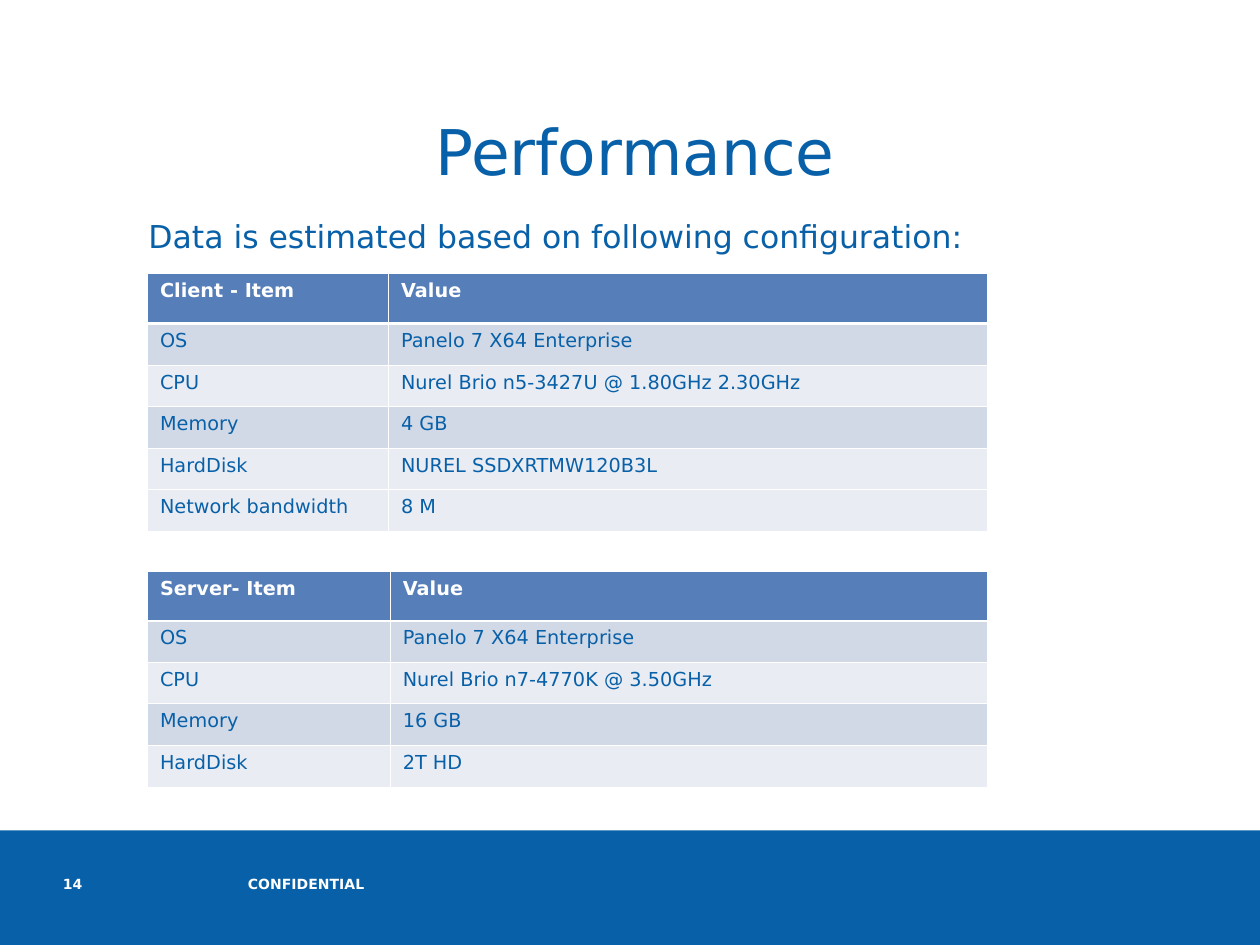
from lxml import etree
from pptx import Presentation
from pptx.dml.color import RGBColor
from pptx.enum import shapes, text
from pptx.oxml import ns
from pptx.util import Pt

BLUE = RGBColor(0x08, 0x60, 0xA8)
HEAD = RGBColor(0x56, 0x7E, 0xB9)
DARK = RGBColor(0xD1, 0xD8, 0xE6)
LIGHT = RGBColor(0xE9, 0xEC, 0xF3)
WHITE = RGBColor(0xFF, 0xFF, 0xFF)
THIN, THICK = 0.45, 1.47


class Deck:
    font = "DejaVu Sans"

    def __init__(self, slide):
        self.slide = slide

    def style(self, para, size, color, bold=False):
        for run in para.runs:
            font = run.font
            font.name, font.size, font.bold = self.font, Pt(size), bold
            font.color.rgb = color

    def bar(self, x, y, w, h, color):
        box = self.slide.shapes.add_shape(
            shapes.MSO_SHAPE.RECTANGLE, Pt(x), Pt(y), Pt(w), Pt(h))
        box.shadow.inherit = False
        box.fill.solid()
        box.fill.fore_color.rgb = color
        box.line.fill.background()

    def label(self, words, x, y, w, h, size, color, bold=False,
              align=text.PP_ALIGN.LEFT, pad=(7.2, 3.6)):
        box = self.slide.shapes.add_textbox(Pt(x), Pt(y), Pt(w), Pt(h))
        frame = box.text_frame
        frame.word_wrap = True
        frame.margin_left = frame.margin_right = Pt(pad[0])
        frame.margin_top = frame.margin_bottom = Pt(pad[1])
        frame.text = words
        para = frame.paragraphs[0]
        para.alignment = align
        self.style(para, size, color, bold)

    def edge(self, cell, side, width):
        props = cell._tc.get_or_add_tcPr()
        line = etree.SubElement(props, ns.qn("a:ln" + side), w=str(int(Pt(width))))
        fill = etree.SubElement(line, ns.qn("a:solidFill"))
        etree.SubElement(fill, ns.qn("a:srgbClr"), val=str(WHITE))

    def table(self, rows, x, y, widths, top, step):
        last = len(rows) - 1
        grid = self.slide.shapes.add_table(
            len(rows), len(widths), Pt(x), Pt(y),
            Pt(sum(widths)), Pt(top + step * last)).table
        for col, width in zip(grid.columns, widths):
            col.width = Pt(width)
        for r, row in enumerate(rows):
            grid.rows[r].height = Pt(step if r else top)
            # Bands alternate, and the last row is always light
            band = DARK if r % 2 and r < last else LIGHT
            for c, words in enumerate(row):
                cell = grid.cell(r, c)
                for side in "LRTB":
                    heavy = (r, side) in ((0, "B"), (1, "T"))
                    self.edge(cell, side, THICK if heavy else THIN)
                cell.fill.solid()
                cell.fill.fore_color.rgb = band if r else HEAD
                cell.text_frame.text = words
                self.style(cell.text_frame.paragraphs[0], 11,
                           BLUE if r else WHITE, bold=r == 0)


CLIENT = [
    ("Client - Item", "Value"),
    ("OS", "Panelo 7 X64 Enterprise"),
    ("CPU", "Nurel Brio n5-3427U @ 1.80GHz 2.30GHz"),
    ("Memory", "4 GB"),
    ("HardDisk", "NUREL SSDXRTMW120B3L"),
    ("Network bandwidth", "8 M"),
]
SERVER = [
    ("Server- Item", "Value"),
    ("OS", "Panelo 7 X64 Enterprise"),
    ("CPU", "Nurel Brio n7-4770K @ 3.50GHz"),
    ("Memory", "16 GB"),
    ("HardDisk", "2T HD"),
]


def main():
    show = Presentation()
    show.slide_width, show.slide_height = Pt(720), Pt(540)
    deck = Deck(show.slides.add_slide(show.slide_layouts[6]))

    # Footer
    deck.bar(0, 474.5, 720, 65.5, BLUE)
    deck.label("CONFIDENTIAL", 136, 500.4, 306, 24, 8, WHITE, True, pad=(5.6, 0))
    deck.label("14", 36, 500.4, 33, 24, 8, WHITE, True, pad=(0, 0))

    # Heading
    deck.label("Performance", 113.75, 60.5, 498.25, 50.4, 36, BLUE,
               align=text.PP_ALIGN.CENTER)
    deck.label("Data is estimated based on following configuration:",
               77.75, 120.25, 624.25, 50.4, 18, BLUE)

    # Configurations
    deck.table(CLIENT, 84.25, 156.4, (137.75, 342.25), 28.5, 23.75)
    deck.table(SERVER, 84.25, 326.25, (138.75, 341.25), 28.5, 23.75)

    show.save("out.pptx")


if __name__ == "__main__":
    main()
